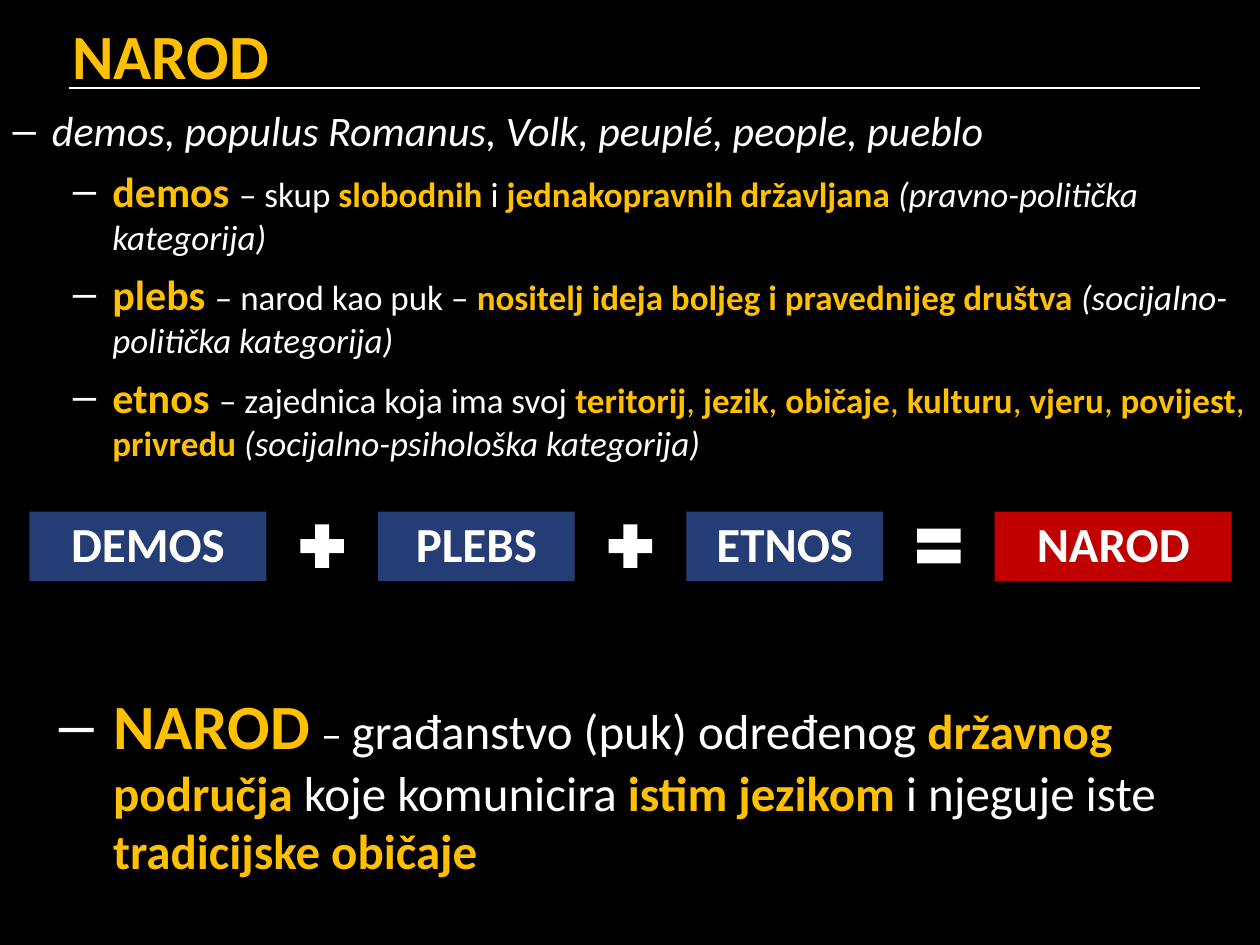
"""Build the slide that explains NAROD as the sum of demos, plebs and etnos."""
from dataclasses import dataclass

from lxml.etree import SubElement
from pptx import Presentation
from pptx.dml.color import RGBColor
from pptx.enum.shapes import MSO_CONNECTOR as Connector, MSO_SHAPE as Shape
from pptx.enum.text import MSO_ANCHOR as Anchor, MSO_AUTO_SIZE as AutoSize, PP_ALIGN as Align
from pptx.oxml.ns import qn
from pptx.util import Pt


@dataclass(frozen=True)
class Theme:
    font: str = "Calibri"
    background: str = "000000"
    text: str = "FFFFFF"
    accent: str = "FFC000"
    addend_fill: str = "253D75"
    sum_fill: str = "C00000"
    title_size: int = 36
    box_size: int = 28
    term_size: int = 24
    detail_size: int = 20


theme = Theme()


def add_text(paragraph, text, size=theme.detail_size, color=theme.text, bold=False, italic=False):
    run = paragraph.add_run()
    run.text = text
    font = run.font
    font.name, font.size, font.bold, font.italic = theme.font, Pt(size), bold, italic
    font.color.rgb = RGBColor.from_string(color)


def add_dash(paragraph, left, hanging, space_before):
    properties = paragraph._p.get_or_add_pPr()
    properties.set("marL", str(Pt(left)))
    properties.set("indent", str(-Pt(hanging)))
    bullet_color = SubElement(properties, qn("a:buClr"))
    SubElement(bullet_color, qn("a:srgbClr"), val=theme.text)
    SubElement(properties, qn("a:buFont"), typeface="Arial")
    SubElement(properties, qn("a:buChar"), char="–")
    paragraph.space_before = Pt(space_before)


key = dict(color=theme.accent, bold=True)
separator = dict(color=theme.accent)
aside = dict(italic=True)
term = dict(key, size=theme.term_size)
large = dict(size=theme.box_size)
large_key = dict(key, size=theme.box_size)

presentation = Presentation()
presentation.slide_width, presentation.slide_height = Pt(720), Pt(540)
slide = presentation.slides.add_slide(presentation.slide_layouts[1])
slide.background.fill.solid()
slide.background.fill.fore_color.rgb = RGBColor.from_string(theme.background)

rule = slide.shapes.add_connector(Connector.STRAIGHT, Pt(39.6), Pt(50.4), Pt(686), Pt(50.4))
rule.line.color.rgb = RGBColor.from_string(theme.text)
rule.line.width = Pt(1)
SubElement(rule._element.spPr, qn("a:effectLst"))

title = slide.shapes.title
title.left, title.top, title.width, title.height = Pt(34), Pt(6), Pt(686), Pt(45)
title.text_frame.auto_size = AutoSize.NONE
title.text_frame.vertical_anchor = Anchor.TOP
heading = title.text_frame.paragraphs[0]
heading.alignment = Align.LEFT
add_text(heading, "NAROD", size=theme.title_size, color=theme.accent, bold=True)

ethnic_traits = [("teritorij", key)]
for trait in ("jezik", "običaje", "kulturu", "vjeru", "povijest", "privredu "):
    ethnic_traits += [(", ", separator), (trait, key)]

meanings = [
    [("demos, populus Romanus, Volk, peuplé, people, pueblo",
      dict(aside, size=theme.term_size))],
    [("demos ", term), ("– skup ", {}), ("slobodnih", key), (" i ", {}),
     ("jednakopravnih državljana ", key), ("(pravno-politička kategorija)", aside)],
    [("plebs ", term), ("– narod kao puk – ", {}),
     ("nositelj ideja boljeg i pravednijeg društva ", key),
     ("(socijalno-politička kategorija)", aside)],
    [("etnos ", term), ("– zajednica koja ima svoj ", {}), *ethnic_traits,
     ("(socijalno-psihološka kategorija)", aside)],
]
body = slide.placeholders[1]
body.left, body.top, body.width, body.height = Pt(0), Pt(56), Pt(720), Pt(214)
body.text_frame.auto_size = AutoSize.NONE
for index, pieces in enumerate(meanings):
    paragraph = body.text_frame.add_paragraph() if index else body.text_frame.paragraphs[0]
    paragraph.level = min(index, 1)
    add_dash(paragraph, left=57 if index else 22.5, hanging=22.5, space_before=6)
    for text, style in pieces:
        add_text(paragraph, text, **style)

equation = [
    (Shape.RECTANGLE, "DEMOS", 135.4, 39.6, theme.addend_fill),
    (Shape.MATH_PLUS, "", 33.8, 33.8, theme.text),
    (Shape.RECTANGLE, "PLEBS", 112.4, 39.6, theme.addend_fill),
    (Shape.MATH_PLUS, "", 33.8, 33.8, theme.text),
    (Shape.RECTANGLE, "ETNOS", 112.4, 39.6, theme.addend_fill),
    (Shape.MATH_EQUAL, "", 33.8, 33.8, theme.text),
    (Shape.RECTANGLE, "NAROD", 135.4, 39.6, theme.sum_fill),
]
left, middle, gap = 16.8, 312.1, 15
for kind, label, width, height, color in equation:
    shape = slide.shapes.add_shape(kind, Pt(left), Pt(middle - height / 2), Pt(width), Pt(height))
    shape.shadow.inherit = False
    shape.fill.solid()
    shape.fill.fore_color.rgb = RGBColor.from_string(color)
    shape.line.fill.background()
    if label:
        shape.text_frame.vertical_anchor = Anchor.MIDDLE
        paragraph = shape.text_frame.paragraphs[0]
        paragraph.alignment = Align.CENTER
        paragraph.line_spacing = 0.93
        add_text(paragraph, label, size=theme.box_size, bold=True)
    left += width + gap

definition = slide.shapes.add_textbox(Pt(26.6), Pt(388.8), Pt(677), Pt(119))
definition.text_frame.word_wrap = True
paragraph = definition.text_frame.paragraphs[0]
add_dash(paragraph, left=31, hanging=31, space_before=0)
for text, style in [
    ("NAROD", dict(key, size=theme.title_size)), (" ", large),
    ("– ", dict(size=theme.term_size)), ("građanstvo (puk) određenog ", large),
    ("državnog područja", large_key), (" koje komunicira ", large),
    ("istim jezikom", large_key), (" i njeguje iste ", large),
    ("tradicijske običaje", large_key),
]:
    add_text(paragraph, text, **style)

presentation.save("out.pptx")
